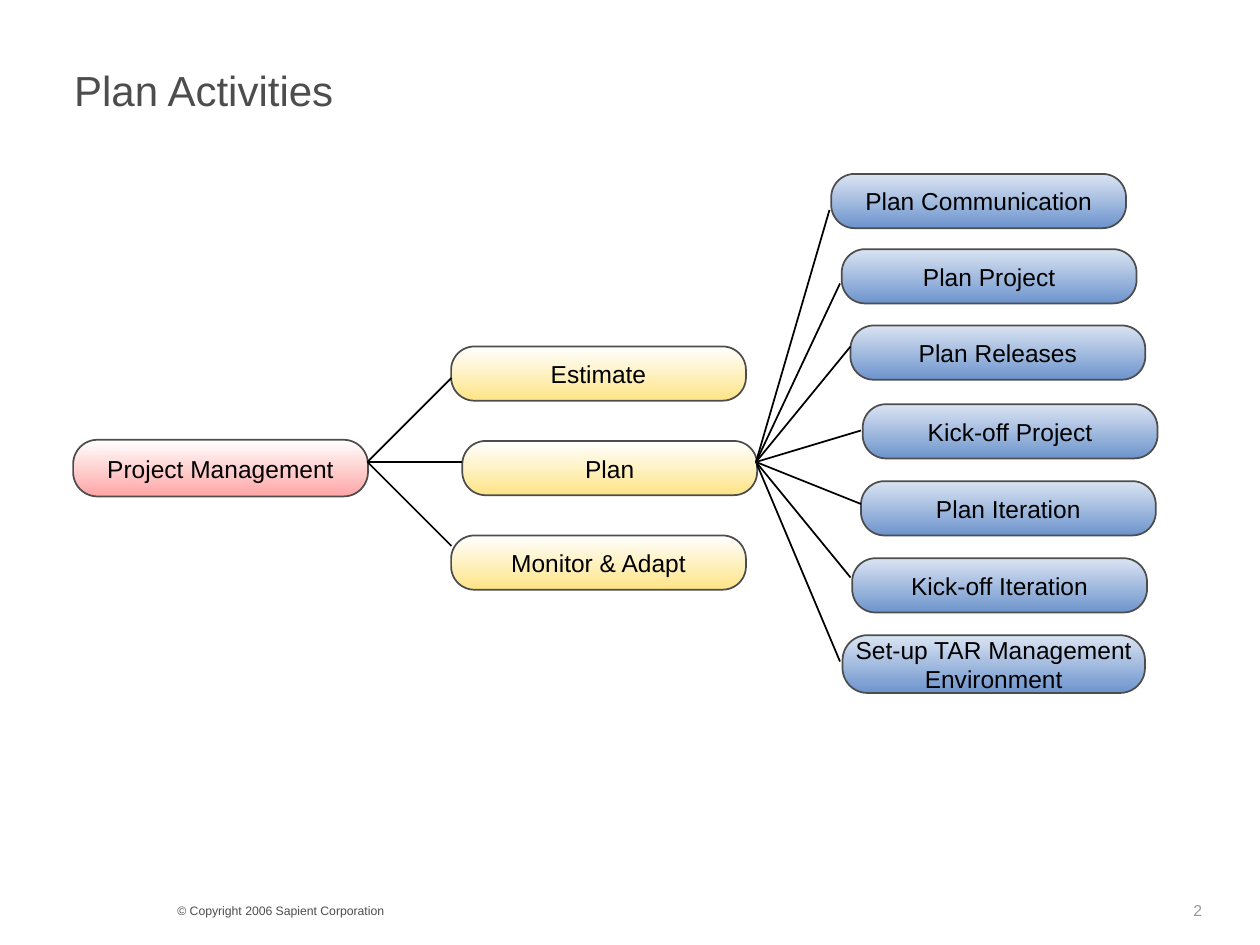
"""Build the Plan Activities slide: a three-level activity tree."""
from typing import NamedTuple

from lxml import etree
from pptx import Presentation
from pptx.dml.color import RGBColor
from pptx.enum.shapes import MSO_CONNECTOR, MSO_SHAPE
from pptx.enum.text import MSO_ANCHOR, PP_ALIGN
from pptx.oxml.ns import qn
from pptx.util import Pt

ROUNDED = MSO_SHAPE.ROUNDED_RECTANGLE
STRAIGHT = MSO_CONNECTOR.STRAIGHT
LEFT, CENTER = PP_ALIGN.LEFT, PP_ALIGN.CENTER
TOP, MIDDLE = MSO_ANCHOR.TOP, MSO_ANCHOR.MIDDLE

COLORS = {
    "white": "FFFFFF",
    "black": "000000",
    "gray": "4D4D4D",
    "page": "999999",
    "red": "FFA5A5",
    "yellow": "FEE486",
    "pale_blue": "DAE4F2",
    "blue": "6D94CD",
}
FONT = "Arial"
NODE_W, NODE_H = 168.5, 31


class Node(NamedTuple):
    text: str
    left: float
    top: float
    link: tuple[float, float] | None = None
    width: float = NODE_W
    height: float = NODE_H


ROOT = Node("Project Management", 41.8, 251.3, height=32.4)
ROOT_HUB = (210, 264)
PHASES = [
    Node("Estimate", 257.8, 198, (258, 216)),
    Node("Plan", 264.2, 252, (264, 264)),
    Node("Monitor & Adapt", 257.8, 306, (258, 312)),
]
PLAN_HUB = (432, 264)
ACTIVITIES = [
    Node("Plan Communication", 475, 99.4, (474, 120)),
    Node("Plan Project", 481, 142.4, (480, 162)),
    Node("Plan Releases", 486, 186, (486, 198)),
    Node("Kick-off Project", 493, 231, (492, 246)),
    Node("Plan Iteration", 492, 275, (492, 288)),
    Node("Kick-off Iteration", 487, 319, (486, 330)),
    Node("Set-up TAR Management Environment", 481.5, 363, (480, 378), 172.8, 33),
]


def rgb(name: str) -> RGBColor:
    """Return the named colour."""
    return RGBColor.from_string(COLORS[name])


def write(sp, text: str, *, size: float, color: str, align=LEFT, anchor=TOP,
          inset_x: float = 7.2, inset_y: float = 3.6, spacing: float = 1.0) -> None:
    """Put one formatted paragraph in a shape."""
    tf = sp.text_frame
    tf.word_wrap = True
    tf.vertical_anchor = anchor
    tf.margin_left = tf.margin_right = Pt(inset_x)
    tf.margin_top = tf.margin_bottom = Pt(inset_y)
    p = tf.paragraphs[0]
    p.alignment = align
    p.line_spacing = spacing
    r = p.add_run()
    r.text = text
    r.font.name = FONT
    r.font.size = Pt(size)
    r.font.color.rgb = rgb(color)


def add_label(s, text: str, box: tuple[float, float, float, float], **fmt) -> None:
    """Add a text box."""
    write(s.shapes.add_textbox(*map(Pt, box)), text, **fmt)


def add_node(s, node: Node, start: str, end: str) -> None:
    """Add a rounded box with a vertical gradient."""
    box = (node.left, node.top, node.width, node.height)
    sp = s.shapes.add_shape(ROUNDED, *map(Pt, box))
    sp.adjustments[0] = 0.43
    sp.shadow.inherit = False
    sp.fill.gradient()
    sp.fill.gradient_angle = 270
    for stop, name in zip(sp.fill.gradient_stops, (start, end)):
        stop.color.rgb = rgb(name)
    sp.line.color.rgb = rgb("gray")
    sp.line.width = Pt(1)
    write(sp, node.text, size=14, color="black", align=CENTER, anchor=MIDDLE,
          inset_x=0, spacing=1.01)


def add_link(s, start: tuple[float, float], end: tuple[float, float]) -> None:
    """Add a plain black line."""
    line = s.shapes.add_connector(STRAIGHT, *map(Pt, start + end))
    line.line.color.rgb = rgb("black")
    line.line.width = Pt(1)
    etree.SubElement(line._element.spPr, qn("a:effectLst"))


def main() -> None:
    """Build and save the slide."""
    prs = Presentation()
    prs.slide_width, prs.slide_height = Pt(720), Pt(540)
    s = prs.slides.add_slide(prs.slide_layouts[6])

    add_label(s, "© Copyright 2006 Sapient Corporation", (94.3, 512.6, 288, 15.8),
              size=7, color="gray", spacing=1.01)
    add_label(s, "2", (675.4, 512, 40, 17.3), size=9, color="page",
              inset_x=6.5, inset_y=3)
    add_label(s, "Plan Activities", (35.3, 31.7, 648.7, 39.6),
              size=24, color="gray", anchor=MIDDLE)

    levels = [
        ([ROOT], "white", "red"),
        (PHASES, "white", "yellow"),
        (ACTIVITIES, "pale_blue", "blue"),
    ]
    for nodes, start, end in levels:
        for node in nodes:
            add_node(s, node, start, end)
    for hub, nodes in ((ROOT_HUB, PHASES), (PLAN_HUB, ACTIVITIES)):
        for node in nodes:
            add_link(s, hub, node.link)

    prs.save("out.pptx")


if __name__ == "__main__":
    main()
